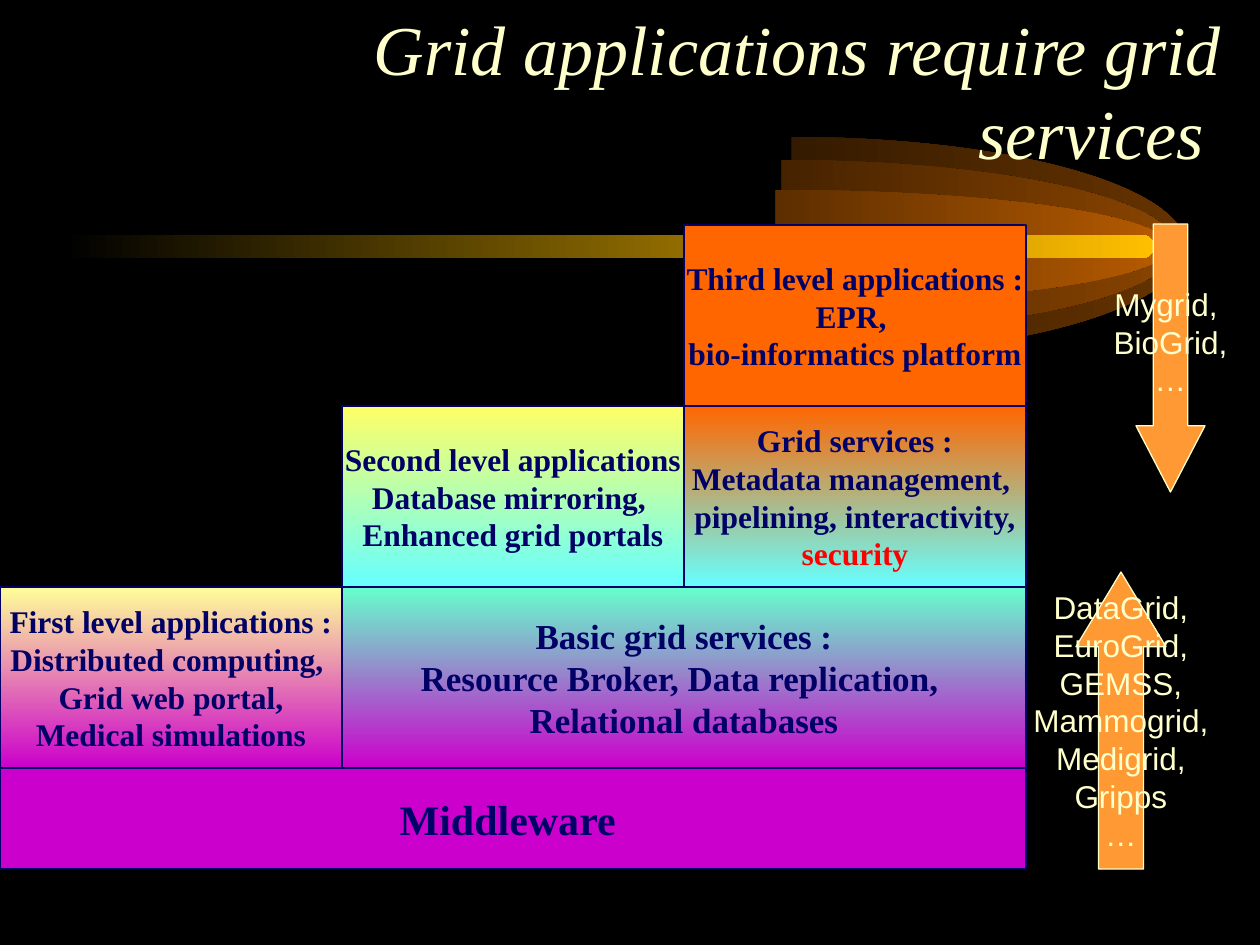
from pptx import Presentation
from pptx.dml.color import RGBColor
from pptx.enum.shapes import MSO_SHAPE
from pptx.enum.text import MSO_ANCHOR, MSO_AUTO_SIZE, PP_ALIGN
from pptx.util import Pt

RECT, ROUND_RECT, PIE = MSO_SHAPE.RECTANGLE, MSO_SHAPE.ROUNDED_RECTANGLE, MSO_SHAPE.PIE
UP_ARROW, DOWN_ARROW = MSO_SHAPE.UP_ARROW, MSO_SHAPE.DOWN_ARROW
MIDDLE, BOTTOM = MSO_ANCHOR.MIDDLE, MSO_ANCHOR.BOTTOM
CENTER, RIGHT = PP_ALIGN.CENTER, PP_ALIGN.RIGHT

PX = 914400 / 126
SERIF, SANS = "Times New Roman", "Arial"
BLACK, NAVY, CREAM, RED = "000000", "000066", "FFFFCC", "FF0000"
PURPLE, ORANGE, AQUA = "CC00CC", "FF6600", "66FFFF"


def add_block(kind, box, colors, angle=270, line=None):
    """Add a shape with one fill colour or a two-colour gradient."""
    sp = s.shapes.add_shape(kind, *[round(v * PX) for v in box])
    sp.shadow.inherit = False
    if len(colors) == 1:
        sp.fill.solid()
        sp.fill.fore_color.rgb = RGBColor.from_string(colors[0])
    else:
        sp.fill.gradient()
        sp.fill.gradient_angle = angle
        for stop, color in zip(sp.fill.gradient_stops, colors):
            stop.color.rgb = RGBColor.from_string(color)
    if line:
        sp.line.color.rgb = RGBColor.from_string(line)
        sp.line.width = Pt(0.75)
    else:
        sp.line.fill.background()
    return sp


def write(sp, lines, size, name, color, bold=False, italic=False, align=CENTER):
    tf = sp.text_frame
    tf.text = "\n".join(lines)
    tf.vertical_anchor = MIDDLE
    tf.word_wrap = False
    for p in tf.paragraphs:
        p.alignment = align
        p.font.size = Pt(size)
        p.font.name = name
        p.font.bold = bold
        p.font.italic = italic
        p.font.color.rgb = RGBColor.from_string(color)


prs = Presentation()
prs.slide_width, prs.slide_height = round(1260 * PX), round(945 * PX)
s = prs.slides.add_slide(prs.slide_layouts[5])
s.background.fill.solid()
s.background.fill.fore_color.rgb = RGBColor.from_string(BLACK)

# Comet: right halves of three ellipses, and a tail
for left, ry, color in [(398, 110, "663300"), (388, 87, "894400"), (382, 57, "B75B00")]:
    half = add_block(PIE, (left, 247 - ry, 788, 2 * ry), (BLACK, color), angle=0)
    half.adjustments[0], half.adjustments[1] = 162, 54  # 270 and 90 degrees

tail = add_block(ROUND_RECT, (63, 235, 1091, 23), (BLACK, "FFBF00"), angle=0)
tail.adjustments[0] = 0.5

# Title, in front of the comet
title = s.shapes.title
title.left, title.top, title.width, title.height = [
    round(v * PX) for v in (189, 0, 1045, 180)]
write(title, ["Grid applications require grid services "], 40, SERIF, CREAM,
      italic=True, align=RIGHT)
title.text_frame.word_wrap = True
title.text_frame.auto_size = MSO_AUTO_SIZE.NONE
title.text_frame.vertical_anchor = BOTTOM
title.element.getparent().append(title.element)

# Staircase of blocks: column, rows above the base, columns spanned
COL, ROW, BASE = 342, 181, 768
blocks = [
    (0, 0, 3, (PURPLE,), 24, ["Middleware "]),
    (0, 1, 1, ("FFFF99", PURPLE), 18,
     ["First level applications :", "Distributed computing, ",
      "Grid web portal,", "Medical simulations"]),
    (1, 1, 2, ("66FFCC", PURPLE), 20,
     ["Basic grid services :", "Resource Broker, Data replication, ",
      "Relational databases"]),
    (1, 2, 1, ("FFFF66", AQUA), 18,
     ["Second level applications", "Database mirroring, ",
      "Enhanced grid portals"]),
    (2, 2, 1, (ORANGE, AQUA), 18,
     ["Grid services :", "Metadata management, ",
      "pipelining, interactivity,", "security"]),
    (2, 3, 1, (ORANGE,), 18,
     ["Third level applications :", "EPR, ", "bio-informatics platform"]),
]
for col, level, span, colors, size, lines in blocks:
    height = ROW if level else 101
    box = (col * COL, BASE - level * ROW, span * COL, height)
    sp = add_block(RECT, box, colors, line=NAVY)
    write(sp, lines, size, SERIF, NAVY, bold=True)
    for p in sp.text_frame.paragraphs:
        if p.text == "security":
            p.font.color.rgb = RGBColor.from_string(RED)

# Arrows with project names; the fourth value is the bottom inset
arrows = [
    (UP_ARROW, (1076, 572, 90, 297), 0.83, 44,
     ["DataGrid,", "EuroGrid,", "GEMSS,", "Mammogrid,", "Medigrid,", "Gripps", "…"]),
    (DOWN_ARROW, (1136, 224, 69, 268), 0.96, 6, ["Mygrid, ", "BioGrid,", "…"]),
]
for kind, box, head, inset, lines in arrows:
    sp = add_block(kind, box, ("FF9933",), line=CREAM)
    sp.adjustments[0], sp.adjustments[1] = 0.5, head
    write(sp, lines, 18, SANS, CREAM)
    sp.text_frame.margin_bottom = round(inset * PX)

prs.save("out.pptx")
